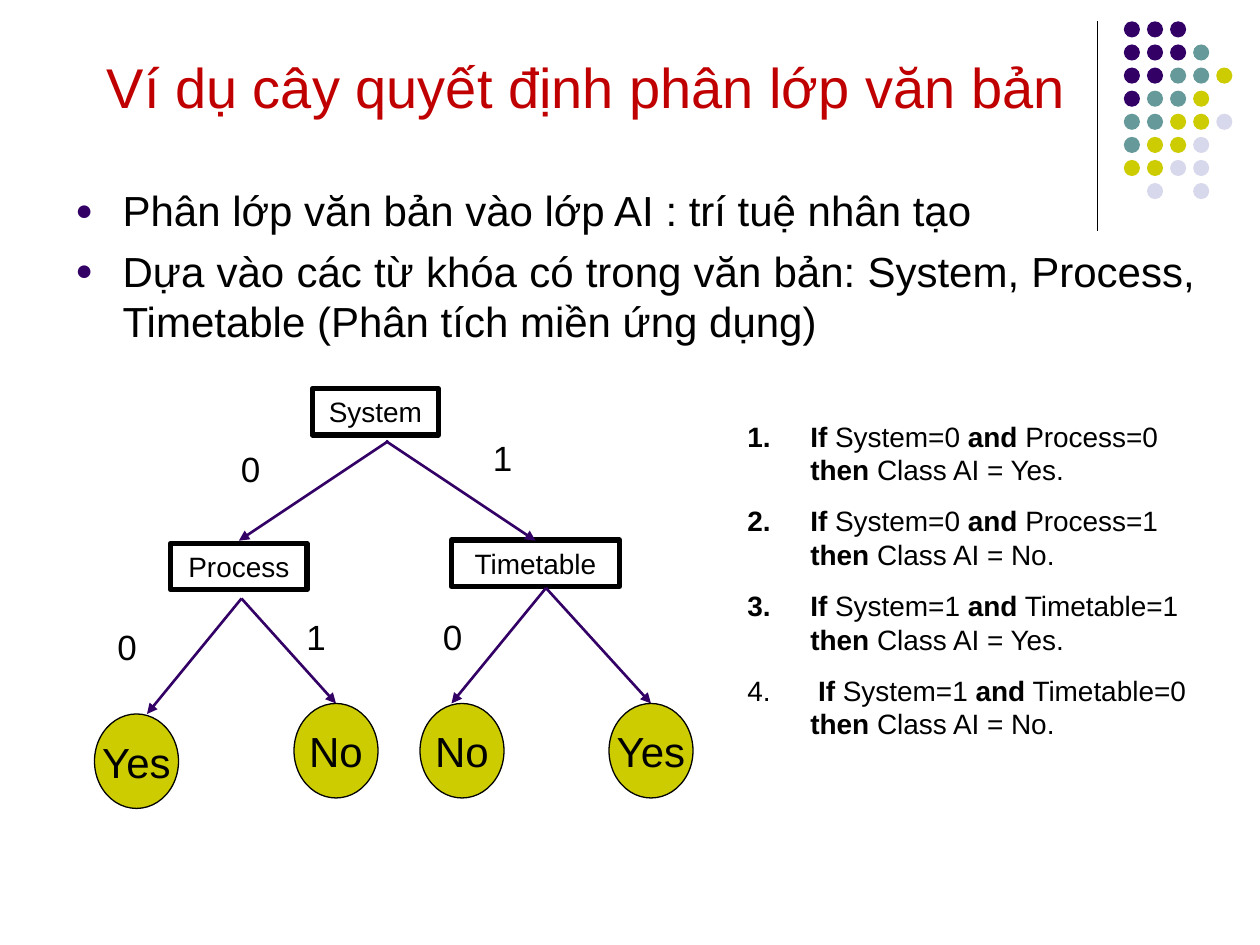
"""Build the slide on a decision tree for text classification."""
from lxml import etree
from pptx import Presentation
from pptx.dml.color import RGBColor
from pptx.enum.shapes import MSO_CONNECTOR, MSO_SHAPE
from pptx.enum.text import MSO_ANCHOR, PP_ALIGN
from pptx.oxml.ns import qn
from pptx.util import Pt

LEFT, CENTER, JUSTIFY = PP_ALIGN.LEFT, PP_ALIGN.CENTER, PP_ALIGN.JUSTIFY
TOP, MIDDLE, BOTTOM = MSO_ANCHOR.TOP, MSO_ANCHOR.MIDDLE, MSO_ANCHOR.BOTTOM
OVAL, RECTANGLE = MSO_SHAPE.OVAL, MSO_SHAPE.RECTANGLE
STRAIGHT = MSO_CONNECTOR.STRAIGHT
BLACK, PURPLE, TEAL, OLIVE, LILAC = "000000", "330066", "669999", "CCCC00", "D8D8EC"
RED = "C00000"
color = RGBColor.from_string


def write_text(frame, text, size, text_color=BLACK, align=LEFT, anchor=TOP, wrap=True,
               space_before=0, indent=0, bullets=()):
    """Write one paragraph per line, with bold parts between asterisks."""
    frame.word_wrap = wrap
    frame.vertical_anchor = anchor
    for number, line in enumerate(text.split("\n")):
        paragraph = frame.add_paragraph() if number else frame.paragraphs[0]
        paragraph.alignment = align
        paragraph.space_before = Pt(space_before if number else 0)
        properties = paragraph._p.get_or_add_pPr()
        if indent:
            properties.set("marL", str(Pt(indent)))
            properties.set("indent", str(Pt(-indent)))
        for tag, attributes in bullets:
            etree.SubElement(properties, qn(tag), attributes)
        paragraph.font.size = Pt(size)
        for position, part in enumerate(line.split("*")):
            if part:
                run = paragraph.add_run()
                run.text = part
                run.font.name = "Arial"
                run.font.size = Pt(size)
                run.font.bold = position % 2 == 1
                run.font.color.rgb = color(text_color)


def add_line(start, end, line_color, width, arrow=False):
    """Draw a straight line, with an arrowhead at its end on request."""
    line = slide.shapes.add_connector(STRAIGHT, *(Pt(value) for value in start + end))
    line.line.color.rgb = color(line_color)
    line.line.width = Pt(width)
    if arrow:
        etree.SubElement(line.line._get_or_add_ln(), qn("a:tailEnd"), {"type": "triangle"})
    etree.SubElement(line._element.spPr, qn("a:effectLst"))


presentation = Presentation()
presentation.slide_width, presentation.slide_height = Pt(720), Pt(540)
slide = presentation.slides.add_slide(presentation.slide_layouts[6])

add_line((627, 12), (627, 132), BLACK, 0.75)
dot_colors = {"P": PURPLE, "T": TEAL, "O": OLIVE, "L": LILAC}
dot_rows = ["PPP", "PPPT", "PPTTO", "PTTO", "TTOOL", "TOOL", "OOLL", " L L"]
for row, letters in enumerate(dot_rows):
    for column, letter in enumerate(letters):
        if letter in dot_colors:
            dot = slide.shapes.add_shape(OVAL, Pt(642.2 + 13.2 * column),
                                         Pt(12.2 + 13.2 * row), Pt(9.2), Pt(9.2))
            dot.shadow.inherit = False
            dot.fill.solid()
            dot.fill.fore_color.rgb = color(dot_colors[letter])
            dot.line.fill.background()

questions = [("System", 178.5, 222, 72), ("Process", 97.5, 310.5, 78),
             ("Timetable", 258, 308.6, 96)]
for text, left, top, width in questions:
    box = slide.shapes.add_shape(RECTANGLE, Pt(left), Pt(top), Pt(width), Pt(26.6))
    box.shadow.inherit = False
    box.fill.background()
    box.line.color.rgb = color(BLACK)
    box.line.width = Pt(3)
    write_text(box.text_frame, text, 16, align=CENTER)

branches = [((222, 252), (136.5, 309)), ((220.5, 252), (306, 309)),
            ((138, 342), (84, 408)), ((138, 342), (192, 402)),
            ((312, 336), (258, 402)), ((312, 336), (372, 402))]
for start, end in branches:
    add_line(start, end, PURPLE, 1.5, arrow=True)

answers = [("Yes", 54, 408), ("No", 168, 402), ("No", 240, 402), ("Yes", 348, 402)]
for text, left, top in answers:
    leaf = slide.shapes.add_shape(OVAL, Pt(left), Pt(top), Pt(48), Pt(54))
    leaf.shadow.inherit = False
    leaf.fill.solid()
    leaf.fill.fore_color.rgb = color(OLIVE)
    leaf.line.color.rgb = color(BLACK)
    leaf.line.width = Pt(0.75)
    write_text(leaf.text_frame, text, 24, align=CENTER, anchor=MIDDLE, wrap=False)

branch_labels = [("0", 130.5, 252), ("1", 274.5, 246), ("0", 60, 354),
                 ("1", 168, 348), ("0", 246, 348)]
for text, left, top in branch_labels:
    label = slide.shapes.add_textbox(Pt(left), Pt(top), Pt(24), Pt(31.5))
    write_text(label.text_frame, text, 20, align=CENTER)

rules = slide.shapes.add_textbox(Pt(420), Pt(236), Pt(282), Pt(191))
write_text(rules.text_frame,
           "*If* System=0 *and* Process=0 *then* Class AI = Yes.\n"
           "*If* System=0 *and* Process=1 *then* Class AI = No.\n"
           "*If* System=1 *and* Timetable=1 *then* Class AI = Yes.\n"
           " *If* System=1 *and* Timetable=0 *then* Class AI = No.",
           16, space_before=10, indent=36,
           bullets=[("a:buFont", {"typeface": "+mj-lt"}),
                    ("a:buAutoNum", {"type": "arabicPeriod"})])

title = slide.shapes.add_textbox(Pt(54), Pt(18), Pt(612), Pt(54))
write_text(title.text_frame, "Ví dụ cây quyết định phân lớp văn bản", 32,
           text_color=RED, anchor=BOTTOM)

body = slide.shapes.add_textbox(Pt(36), Pt(102), Pt(654), Pt(108))
write_text(body.text_frame,
           "Phân lớp văn bản vào lớp AI : trí tuệ nhân tạo\n"
           "Dựa vào các từ khóa có trong văn bản: System, Process, "
           "Timetable (Phân tích miền ứng dụng)",
           24, align=JUSTIFY, space_before=6, indent=27,
           bullets=[("a:buClr", {}), ("a:buSzPct", {"val": "70000"}),
                    ("a:buFont", {"typeface": "Arial"}), ("a:buChar", {"char": "●"})])
for bullet_color in body._element.iter(qn("a:buClr")):
    etree.SubElement(bullet_color, qn("a:srgbClr"), {"val": PURPLE})

presentation.save("out.pptx")
